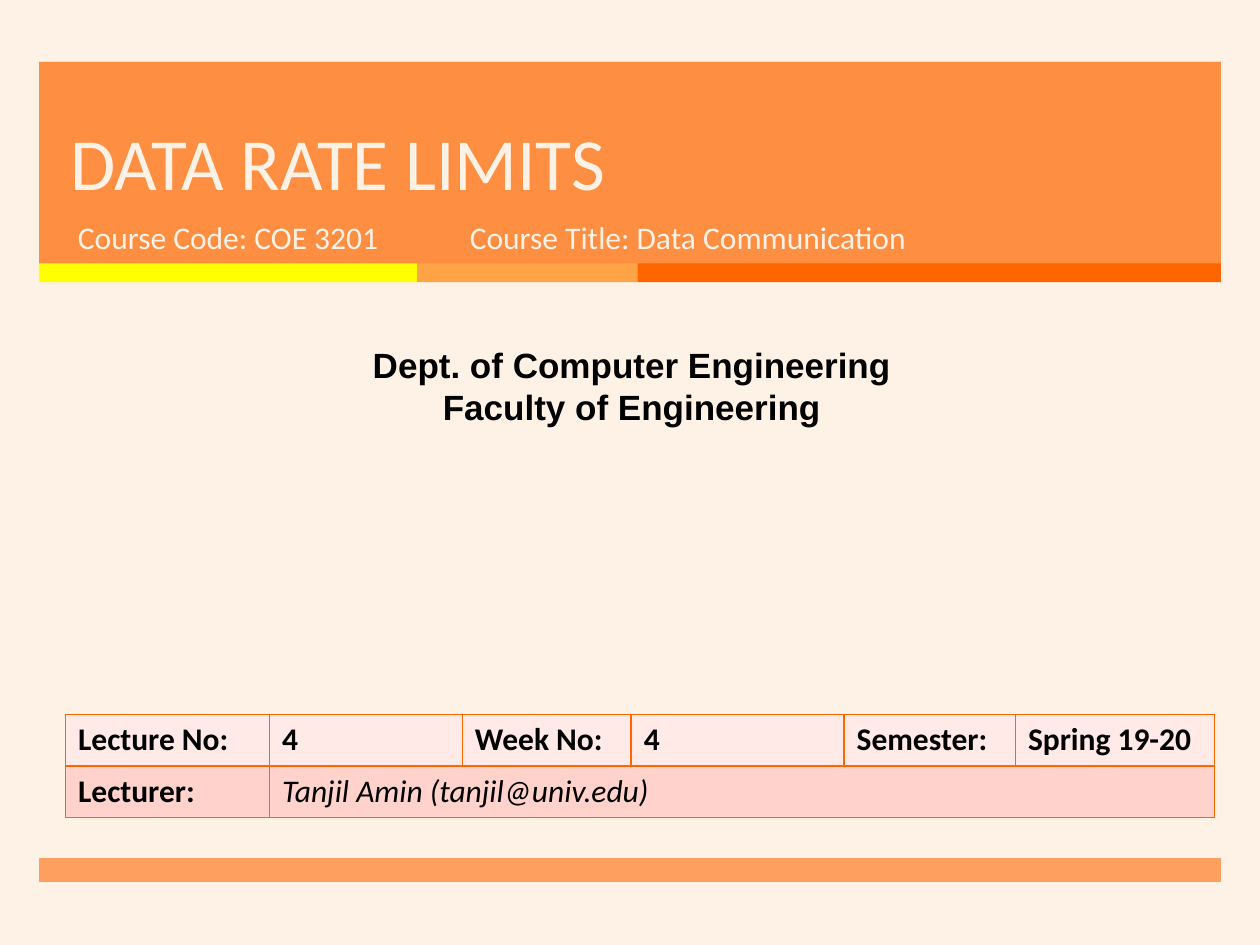
from lxml import etree
from pptx import Presentation
from pptx.dml.color import RGBColor
from pptx.enum.shapes import MSO_SHAPE
from pptx.enum.text import MSO_ANCHOR, PP_ALIGN
from pptx.oxml.ns import qn
from pptx.util import Inches, Pt

RECTANGLE = MSO_SHAPE.RECTANGLE
TOP, BOTTOM = MSO_ANCHOR.TOP, MSO_ANCHOR.BOTTOM
LEFT, CENTER = PP_ALIGN.LEFT, PP_ALIGN.CENTER
CREAM, ORANGE, DEEP_ORANGE, BLACK = "FEF2E6", "FF7D26", "FF6600", "000000"


def rgb(value):
    return RGBColor.from_string(value)


class SlideBuilder:
    """Holds the style and the current slide, and draws each kind of element."""

    def __init__(self, slide, font="Calibri"):
        self.slide = slide
        self.font = font

    def background(self, color):
        fill = self.slide.background.fill
        fill.solid()
        fill.fore_color.rgb = rgb(color)

    def band(self, left, top, width, height, color, opacity=100):
        band = self.slide.shapes.add_shape(
            RECTANGLE, Inches(left), Inches(top), Inches(width), Inches(height))
        band.shadow.inherit = False
        band.line.fill.background()
        band.fill.solid()
        band.fill.fore_color.rgb = rgb(color)
        if opacity < 100:
            solid = band.fill._xPr.find(qn("a:solidFill"))
            etree.SubElement(solid[0], qn("a:alpha"), val=str(opacity * 1000))

    def style(self, frame, size, color, font=None, bold=False, italic=False, align=LEFT):
        for paragraph in frame.paragraphs:
            paragraph.alignment = align
            for run in paragraph.runs:
                run.font.name = font or self.font
                run.font.size = Pt(size)
                run.font.bold = bold
                run.font.italic = italic
                run.font.color.rgb = rgb(color)

    def text(self, left, top, width, height, words, size, color,
             anchor=TOP, spacing=None, **look):
        frame = self.slide.shapes.add_textbox(
            Inches(left), Inches(top), Inches(width), Inches(height)).text_frame
        frame.word_wrap = True
        frame.vertical_anchor = anchor
        frame.text = words
        self.style(frame, size, color, **look)
        if spacing:
            frame.paragraphs[0].line_spacing = Pt(spacing)

    def cell_border(self, cell, color, width):
        properties = cell._tc.get_or_add_tcPr()
        for position, side in enumerate(("a:lnL", "a:lnR", "a:lnT", "a:lnB")):
            line = etree.Element(qn(side), w=str(Pt(width)))
            solid = etree.SubElement(line, qn("a:solidFill"))
            etree.SubElement(solid, qn("a:srgbClr"), val=color)
            properties.insert(position, line)

    def table(self, left, top, widths, row_height, rows, fills):
        grid = self.slide.shapes.add_table(
            len(rows), len(widths), Inches(left), Inches(top),
            Inches(sum(widths)), Inches(row_height * len(rows))).table
        for column, width in zip(grid.columns, widths):
            column.width = Inches(width)
        for r, (words, fill) in enumerate(zip(rows, fills)):
            grid.rows[r].height = Inches(row_height)
            for c in range(len(widths)):
                cell = grid.cell(r, c)
                cell.fill.solid()
                cell.fill.fore_color.rgb = rgb(fill)
                self.cell_border(cell, DEEP_ORANGE, 1)
                if c < len(words):
                    cell.text = words[c]
                    self.style(cell.text_frame, 18, BLACK, bold=True)
        return grid


def main():
    deck = Presentation()
    deck.slide_width, deck.slide_height = Inches(10), Inches(7.5)
    builder = SlideBuilder(deck.slides.add_slide(deck.slide_layouts[6]))

    builder.background(CREAM)
    builder.band(0.31, 0.49, 9.38, 1.61, ORANGE, 85)
    stripe_left = 0.31
    for width, color in ((3, "FFFF00"), (1.75, "FFA347"), (4.63, DEEP_ORANGE)):
        builder.band(stripe_left, 2.09, width, 0.15, color)
        stripe_left += width
    builder.band(0.31, 6.81, 9.38, 0.19, ORANGE, 70)

    builder.text(0.46, 0.49, 8.54, 1.19, "DATA RATE LIMITS", 42, CREAM,
                 anchor=BOTTOM, spacing=46)
    builder.text(0.52, 1.68, 3.05, 0.53, "Course Code: COE 3201", 18, CREAM)
    builder.text(3.63, 1.68, 4.55, 0.53, "Course Title: Data Communication", 18, CREAM)
    builder.text(0.08, 2.68, 9.87, 0.77,
                 "Dept. of Computer Engineering\nFaculty of Engineering",
                 20, BLACK, font="Arial", bold=True, align=CENTER)

    lecture = builder.table(
        0.52, 5.67, (1.62, 1.53, 1.34, 1.69, 1.36, 1.58), 0.41,
        (("Lecture No:", "4", "Week No:", "4", "Semester:", "Spring 19-20"),
         ("Lecturer:", "Tanjil Amin (tanjil@univ.edu)")),
        ("FFEAE7", "FFD3CC"))
    lecturer = lecture.cell(1, 1)
    lecturer.merge(lecture.cell(1, 5))
    builder.style(lecturer.text_frame, 18, BLACK, italic=True)

    deck.save("out.pptx")


if __name__ == "__main__":
    main()
